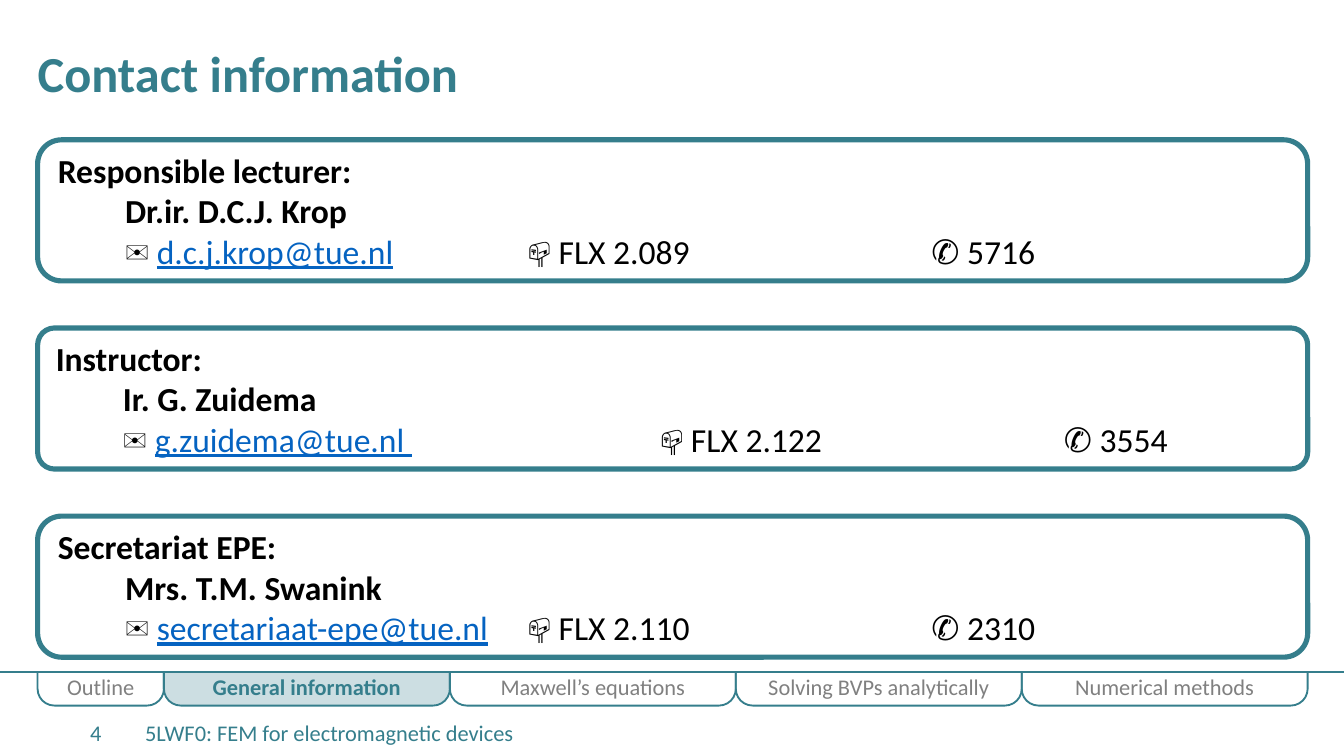
from pptx import Presentation
from pptx.dml.color import RGBColor
from pptx.enum.shapes import MSO_CONNECTOR, MSO_SHAPE
from pptx.enum.text import MSO_ANCHOR, PP_ALIGN
from pptx.oxml.ns import qn
from pptx.util import Inches, Pt
from lxml.etree import SubElement

FONT = "Calibri"
TEAL, GREY, BLACK, WHITE, LINK = "357E8C", "808080", "000000", "FFFFFF", "0563C1"
WIDTH, HEIGHT = 10, 10 * 9 / 16
MARGIN, CONTENT_WIDTH = 0.28, 9.45
CARD_TOP, CARD_HEIGHT, CARD_PITCH = 1.04, 1.05, 1.4
NAVIGATION_TOP, NAVIGATION_HEIGHT, FIRST_TAB_WIDTH = 5, 0.25, 0.94

SECTIONS = ["Outline", "General information", "Maxwell’s equations",
            "Solving BVPs analytically", "Numerical methods"]
CURRENT_SECTION = "General information"
# Role, name, e-mail, room and phone, corner radius
CONTACTS = [
    ("Responsible lecturer:", "Dr.ir. D.C.J. Krop", "d.c.j.krop@tue.nl",
     "\t\t📪 FLX 2.089\t\t✆ 5716", 0.17),
    ("Instructor:", "Ir. G. Zuidema", "g.zuidema@tue.nl ",
     "\t\t📪 FLX 2.122\t\t✆ 3554", 0.12),
    ("Secretariat EPE:", "Mrs. T.M. Swanink", "secretariaat-epe@tue.nl",
     "\t📪 FLX 2.110\t\t✆ 2310", 0.17),
]


def color(value):
    return RGBColor.from_string(value)


def set_font(font, size, value, bold=False):
    font.name, font.size, font.bold = FONT, Pt(size), bold
    font.color.rgb = color(value)


def fill_transparent(shape, value, opacity):
    shape.fill.solid()
    shape.fill.fore_color.rgb = color(value)
    fill_color = shape.fill._xPr.find(qn("a:solidFill"))[0]
    SubElement(fill_color, qn("a:alpha")).set("val", str(opacity * 1000))


def add_outlined(slide, kind, box, line_width, adjustments):
    shape = slide.shapes.add_shape(kind, *map(Inches, box))
    shape.shadow.inherit = False
    shape.fill.background()
    shape.line.color.rgb = color(TEAL)
    shape.line.width = Pt(line_width)
    for index, value in enumerate(adjustments):
        shape.adjustments[index] = value
    shape.text_frame.word_wrap = True
    shape.text_frame.vertical_anchor = MSO_ANCHOR.MIDDLE
    return shape


def add_label(slide, box, text, size, bold=False):
    frame = slide.shapes.add_textbox(*map(Inches, box)).text_frame
    frame.word_wrap = True
    frame.margin_left = frame.margin_right = frame.margin_top = frame.margin_bottom = 0
    paragraph = frame.paragraphs[0]
    paragraph.text = text
    set_font(paragraph.font, size, TEAL, bold)
    return paragraph


def add_navigation(slide, left, top, width, height):
    line = slide.shapes.add_connector(
        MSO_CONNECTOR.STRAIGHT, 0, Inches(top), Inches(WIDTH), Inches(top))
    line.line.color.rgb = color(TEAL)
    line.line.width = Pt(1.5)
    SubElement(line._element.spPr, qn("a:effectLst"))

    other_width = (width - FIRST_TAB_WIDTH) / (len(SECTIONS) - 1)
    for index, section in enumerate(SECTIONS):
        tab_width = other_width if index else FIRST_TAB_WIDTH
        tab = add_outlined(slide, MSO_SHAPE.ROUND_2_SAME_RECTANGLE,
                           (left, top, tab_width, height), 1, (0, 0.5))
        left += tab_width
        current = section == CURRENT_SECTION
        if current:
            fill_transparent(tab, TEAL, 25)
        elif index == 0:
            fill_transparent(tab, WHITE, 25)
        paragraph = tab.text_frame.paragraphs[0]
        paragraph.text = section
        paragraph.alignment = PP_ALIGN.CENTER
        set_font(paragraph.font, 12, TEAL if current else GREY, current)


def add_contact(slide, box, role, name, email, room_and_phone, radius):
    card = add_outlined(slide, MSO_SHAPE.ROUNDED_RECTANGLE, box, 2.75, [radius])
    frame = card.text_frame
    lines = [frame.paragraphs[0], frame.add_paragraph(), frame.add_paragraph()]
    for index, paragraph in enumerate(lines):
        paragraph.alignment = PP_ALIGN.LEFT
        if index:
            paragraph.level = 1
            properties = paragraph._p.get_or_add_pPr()
            properties.set("marL", str(Inches(0.5)))
            properties.set("indent", "0")
            properties.set("defTabSz", str(Inches(1)))
        set_font(paragraph.font, 18, BLACK, bold=index < 2)
    lines[0].add_run().text = role
    lines[1].add_run().text = name
    for text in ("✉ ", email, room_and_phone):
        run = lines[2].add_run()
        run.text = text
        if text == email:
            run.font.color.rgb = color(LINK)
            run.font.underline = True


def main():
    presentation = Presentation()
    presentation.slide_width, presentation.slide_height = Inches(WIDTH), Inches(HEIGHT)
    slide = presentation.slides.add_slide(presentation.slide_layouts[6])

    add_navigation(slide, MARGIN, NAVIGATION_TOP, CONTENT_WIDTH, NAVIGATION_HEIGHT)
    add_label(slide, (1.08, 5.35, 6.65, 0.25), "5LWF0: FEM for electromagnetic devices", 12)
    add_label(slide, (0.67, 5.35, 0.41, 0.25), "4", 12)
    title = add_label(slide, (MARGIN, 0.39, CONTENT_WIDTH, 0.43),
                      "Contact information", 27, bold=True)
    title.line_spacing = Pt(27)
    for index, contact in enumerate(CONTACTS):
        box = (MARGIN, CARD_TOP + index * CARD_PITCH, CONTENT_WIDTH, CARD_HEIGHT)
        add_contact(slide, box, *contact)

    presentation.save("out.pptx")


if __name__ == "__main__":
    main()
